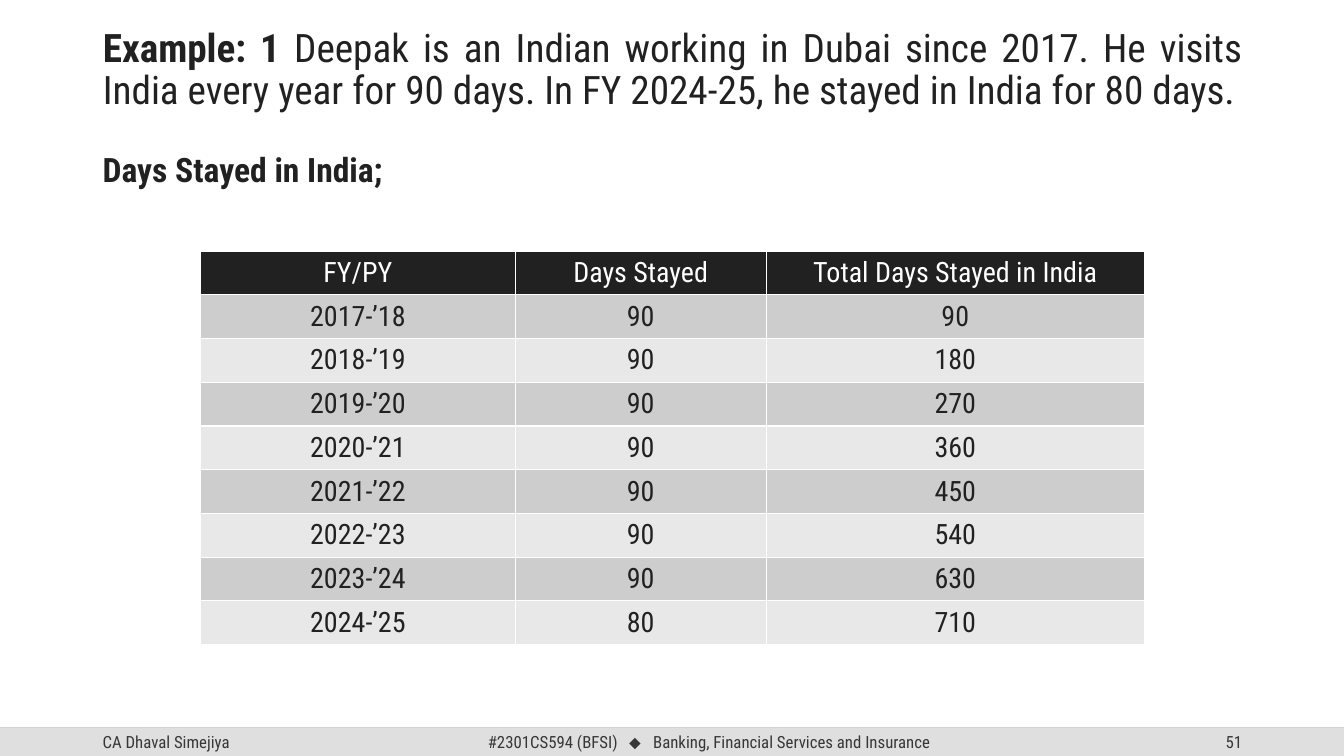
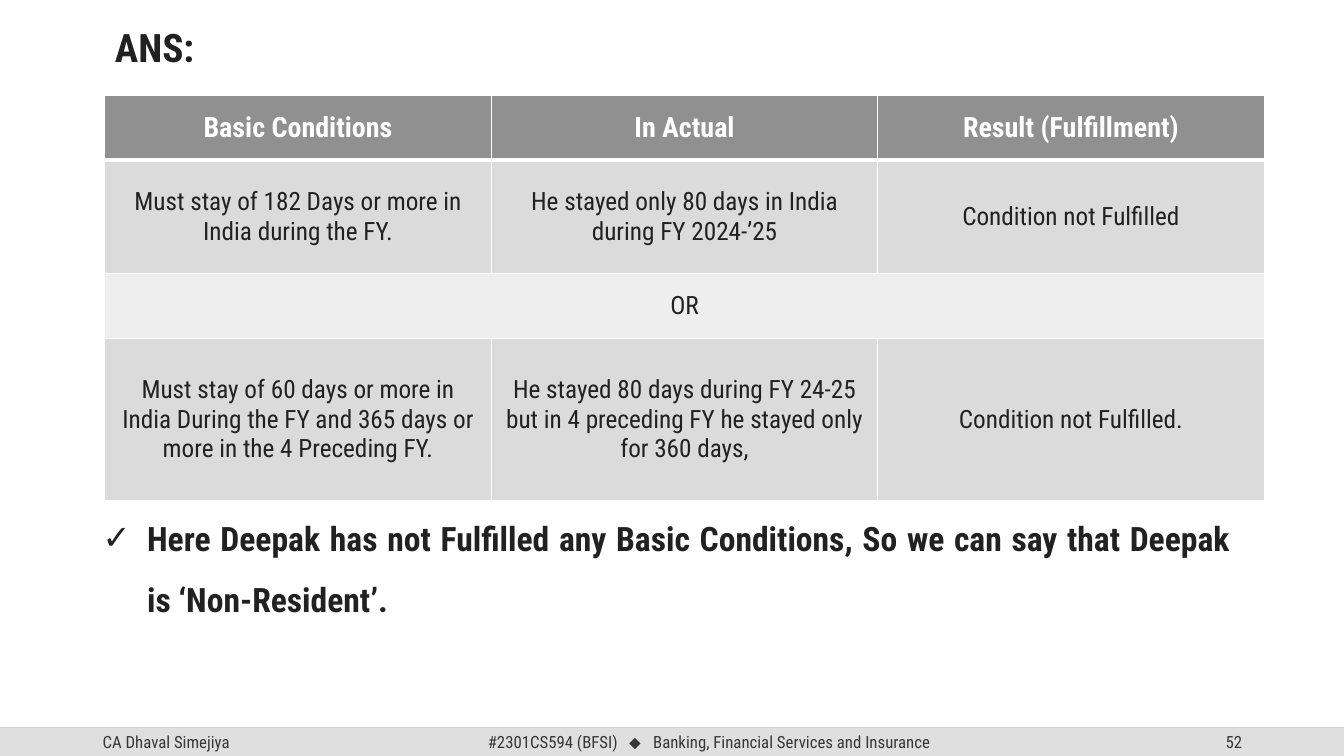
from lxml import etree
from pptx import Presentation
from pptx.dml.color import RGBColor
from pptx.enum.shapes import MSO_CONNECTOR, MSO_SHAPE
from pptx.enum.text import MSO_ANCHOR, MSO_AUTO_SIZE, PP_ALIGN
from pptx.oxml.ns import qn
from pptx.util import Inches, Pt

LEFT, CENTER, RIGHT, JUSTIFY = PP_ALIGN.LEFT, PP_ALIGN.CENTER, PP_ALIGN.RIGHT, PP_ALIGN.JUSTIFY
TOP, MIDDLE = MSO_ANCHOR.TOP, MSO_ANCHOR.MIDDLE
NO_AUTOFIT = MSO_AUTO_SIZE.NONE
STRAIGHT, RECTANGLE = MSO_CONNECTOR.STRAIGHT, MSO_SHAPE.RECTANGLE

FONT, SYMBOL_FONT = "Roboto Condensed", "Arial"
INK, WHITE = "212121", "FFFFFF"
FOOTER_INK, FOOTER_FILL, FOOTER_LINE = "373737", "DFDFDF", "BFBFBF"
SLIDE_WIDTH, SLIDE_HEIGHT = 13.33, 7.5
FOOTER_TOP, FOOTER_HEIGHT = 7.22, 0.28
FOOTER_SIZE, TITLE_SIZE, BODY_SIZE = 12, 28, 24
FIRST_PAGE = 51


def rgb(color):
    """Turn a hex string into a colour."""
    return RGBColor.from_string(color)


def format_runs(paragraph, size, color=INK, bold=False, alignment=LEFT):
    """Give every run of a paragraph the same look."""
    paragraph.alignment = alignment
    for run in paragraph.runs:
        run.font.name = FONT
        run.font.size = Pt(size)
        run.font.bold = bold
        run.font.color.rgb = rgb(color)


def add_runs(paragraph, *texts):
    """Append one run for each text."""
    for text in texts:
        paragraph.add_run().text = text


def add_text_box(slide, left, top, width, height, anchor=TOP):
    """Add a wrapping text box and return its first paragraph."""
    text_frame = slide.shapes.add_textbox(
        Inches(left), Inches(top), Inches(width), Inches(height)).text_frame
    text_frame.word_wrap = True
    text_frame.vertical_anchor = anchor
    return text_frame.paragraphs[0]


def add_footer_text(slide, left, width, text, alignment=LEFT):
    """Add one text to the footer band and return its paragraph."""
    paragraph = add_text_box(slide, left, FOOTER_TOP, width, FOOTER_HEIGHT, MIDDLE)
    paragraph.text = text
    format_runs(paragraph, FOOTER_SIZE, FOOTER_INK, alignment=alignment)
    return paragraph


def add_course_text(slide):
    """Add the course code and name, with a diamond between them."""
    paragraph = add_footer_text(slide, 4.74, 4.9, "#2301CS594 (BFSI)")
    add_runs(paragraph, "\t", "⬥", "\tBanking, Financial Services and Insurance")
    tab_list = etree.SubElement(paragraph._p.get_or_add_pPr(), qn("a:tabLst"))
    for position, alignment in ((1.46, "ctr"), (1.64, "l")):
        etree.SubElement(tab_list, qn("a:tab"), pos=str(Inches(position)), algn=alignment)
    format_runs(paragraph, FOOTER_SIZE, FOOTER_INK)
    paragraph.runs[2].font.name = SYMBOL_FONT


def add_footer(slide, page):
    """Add the footer rule, band and texts."""
    rule = slide.shapes.add_connector(
        STRAIGHT, 0, Inches(FOOTER_TOP), Inches(SLIDE_WIDTH), Inches(FOOTER_TOP))
    rule.line.color.rgb = rgb(FOOTER_LINE)
    rule.line.width = Pt(1)
    color = rule.line._ln.find(".//" + qn("a:srgbClr"))
    etree.SubElement(color, qn("a:alpha"), val="70000")
    etree.SubElement(rule._element.spPr, qn("a:effectLst"))

    band = slide.shapes.add_shape(
        RECTANGLE, 0, Inches(FOOTER_TOP), Inches(SLIDE_WIDTH), Inches(FOOTER_HEIGHT))
    band.shadow.inherit = False
    band.fill.solid()
    band.fill.fore_color.rgb = rgb(FOOTER_FILL)
    band.line.fill.background()

    add_footer_text(slide, 0.92, 3, "CA Dhaval Simejiya")
    add_course_text(slide)
    add_footer_text(slide, 9.42, 3, str(page), RIGHT)


def add_slide(presentation, page):
    """Add a title-only slide with the shared footer."""
    slide = presentation.slides.add_slide(presentation.slide_layouts[5])
    add_footer(slide, page)
    return slide


def set_title(slide, left, top, width, height, texts, anchor):
    """Place the title and write its runs, the first of them bold."""
    title = slide.shapes.title
    title.left, title.top = Inches(left), Inches(top)
    title.width, title.height = Inches(width), Inches(height)
    text_frame = title.text_frame
    text_frame.auto_size = NO_AUTOFIT
    text_frame.vertical_anchor = anchor
    paragraph = text_frame.paragraphs[0]
    add_runs(paragraph, *texts)
    paragraph.line_spacing = 0.9
    format_runs(paragraph, TITLE_SIZE, alignment=JUSTIFY)
    paragraph.runs[0].font.bold = True


def set_borders(cell, top, bottom):
    """Draw white cell borders, with the given top and bottom widths."""
    properties = cell._tc.get_or_add_tcPr()
    widths = {"a:lnL": 1, "a:lnR": 1, "a:lnT": top, "a:lnB": bottom}
    for index, (tag, width) in enumerate(widths.items()):
        line = etree.Element(qn(tag), w=str(Pt(width)))
        fill = etree.SubElement(line, qn("a:solidFill"))
        etree.SubElement(fill, qn("a:srgbClr"), val=WHITE)
        properties.insert(index, line)


def add_table(slide, left, top, widths, heights, rows, header_fill, band_fills,
              body_size, header_bold=False, header_rule=1):
    """Add a centred table with a header row and alternating bands."""
    table = slide.shapes.add_table(
        len(rows), len(widths), Inches(left), Inches(top),
        Inches(sum(widths)), Inches(sum(heights))).table
    table.horz_banding = False
    for column, width in zip(table.columns, widths):
        column.width = Inches(width)
    for row_index, (height, texts) in enumerate(zip(heights, rows)):
        table.rows[row_index].height = Inches(height)
        is_header = row_index == 0
        fill = header_fill if is_header else band_fills[(row_index - 1) % 2]
        for column_index in range(len(widths)):
            cell = table.cell(row_index, column_index)
            cell.vertical_anchor = MIDDLE
            cell.fill.solid()
            cell.fill.fore_color.rgb = rgb(fill)
            set_borders(cell, header_rule if row_index == 1 else 1,
                        header_rule if is_header else 1)
        if len(texts) == 1:
            table.cell(row_index, 0).merge(table.cell(row_index, len(widths) - 1))
        for column_index, text in enumerate(texts):
            paragraph = table.cell(row_index, column_index).text_frame.paragraphs[0]
            paragraph.text = text
            format_runs(paragraph, 20 if is_header else body_size,
                        WHITE if is_header else INK, is_header and header_bold, CENTER)


def add_check_item(slide, left, top, width, height, text):
    """Add a bold justified paragraph with a check mark."""
    paragraph = add_text_box(slide, left, top, width, height)
    paragraph.text = text
    properties = paragraph._p.get_or_add_pPr()
    properties.set("marL", str(Inches(0.44)))
    properties.set("indent", str(Inches(-0.44)))
    etree.SubElement(properties, qn("a:buFont"), typeface=SYMBOL_FONT)
    etree.SubElement(properties, qn("a:buChar"), char="✓")
    paragraph.line_spacing = 1.5
    format_runs(paragraph, BODY_SIZE, bold=True, alignment=JUSTIFY)


def build_example_slide(presentation, page):
    """Build the example with the days stayed in each year."""
    slide = add_slide(presentation, page)
    set_title(slide, 0.92, 0.23, 11.5, 1.1, (
        "Example: 1 ",
        "Deepak is an Indian working in Dubai since 2017. He visits India every year "
        "for 90 days. In FY 2024-25, he stayed in India for 80 days."), TOP)
    heading = add_text_box(slide, 0.92, 1.43, 11.5, 0.5)
    heading.text = "Days Stayed in India;"
    format_runs(heading, BODY_SIZE, bold=True)

    rows = [("FY/PY", "Days Stayed", "Total Days Stayed in India")]
    total = 0
    for year, days in zip(range(2017, 2025), [90] * 7 + [80]):
        total += days
        rows.append((f"{year}-’{year % 100 + 1}", str(days), str(total)))
    add_table(slide, 1.99, 2.49, (3.12, 2.49, 3.75), [0.42] * len(rows), rows,
              INK, ("CDCDCD", "E8E8E8"), 20)


def build_answer_slide(presentation, page):
    """Build the answer with the basic conditions and the conclusion."""
    slide = add_slide(presentation, page)
    set_title(slide, 1.04, 0.13, 11.5, 0.72, ("ANS:",), MIDDLE)
    rows = (
        ("Basic Conditions", "In Actual", "Result (Fulfillment)"),
        ("Must stay of 182 Days or more in India during the FY.",
         "He stayed only 80 days in India during FY 2024-’25",
         "Condition not Fulfilled"),
        ("OR",),
        ("Must stay of 60 days or more in India During the FY and 365 days or more "
         "in the 4 Preceding FY.",
         "He stayed 80 days during FY 24-25 but in 4 preceding FY he stayed only "
         "for 360 days,",
         "Condition not Fulfilled."),
    )
    add_table(slide, 1.04, 0.95, [11.5 / 3] * 3, (0.64, 1.12, 0.65, 1.61), rows,
              "909090", ("DBDBDB", "EEEEEE"), 18, header_bold=True, header_rule=3)
    add_check_item(slide, 0.92, 4.89, 11.38, 1.33,
                   "Here Deepak has not Fulfilled any Basic Conditions, So we can say "
                   "that Deepak is ‘Non-Resident’.")


def main():
    """Build and save the presentation."""
    presentation = Presentation()
    presentation.slide_width = Inches(SLIDE_WIDTH)
    presentation.slide_height = Inches(SLIDE_HEIGHT)
    builders = (build_example_slide, build_answer_slide)
    for page, build in enumerate(builders, FIRST_PAGE):
        build(presentation, page)
    presentation.save("out.pptx")


if __name__ == "__main__":
    main()
